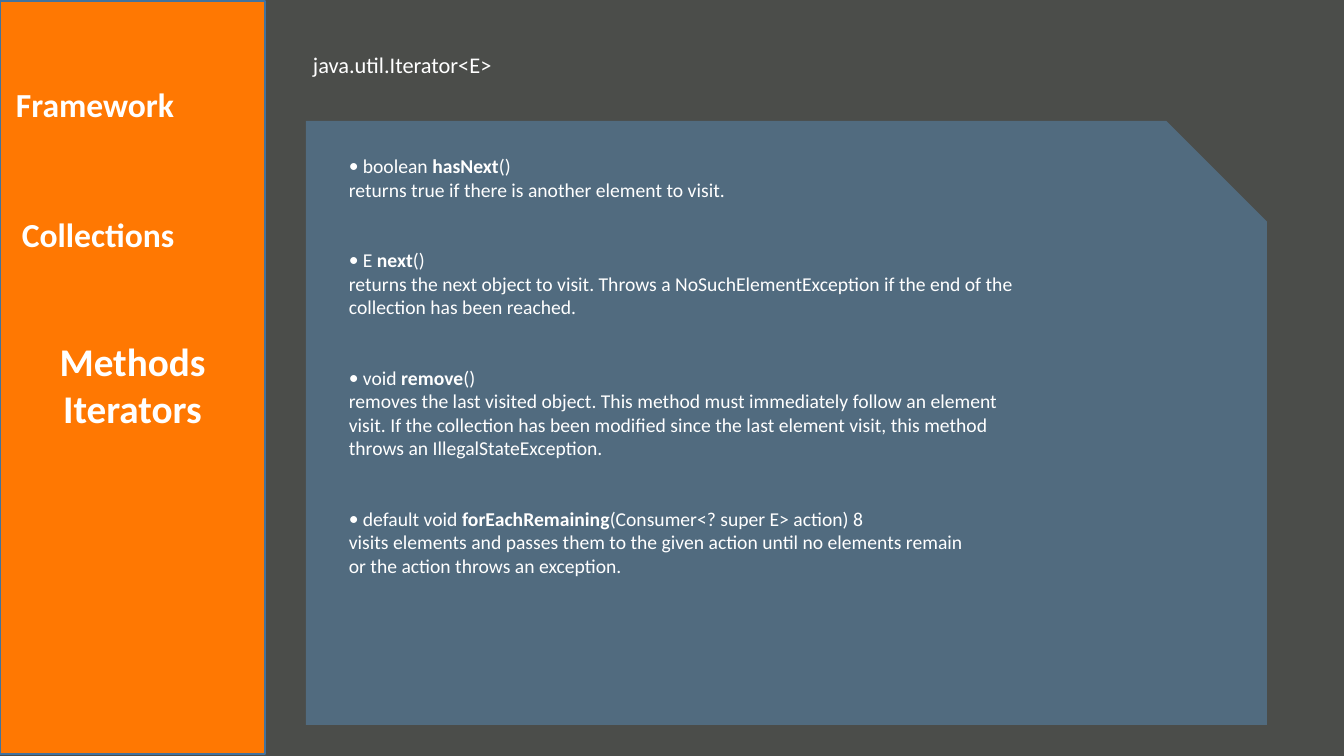
"""Build a slide on the methods of the Java iterator interface."""
from lxml import etree
from pptx import Presentation, util as u
from pptx.dml.color import RGBColor
from pptx.enum import shapes, text
from pptx.oxml.ns import qn

HEADING = "java.util.Iterator<E>"
SIDEBAR = [
    (["Framework"], "topic", (6, 79, 253, 92)),
    (["Collections"], "topic", (12, 209, 253, 92)),
    (["Methods", "Iterators"], "current", (6, 332, 253, 200)),
]
METHODS = [
    ("boolean ", "hasNext", "()",
     ["returns true if there is another element to visit."]),
    ("E ", "next", "()",
     ["returns the next object to visit. Throws a NoSuchElementException if the end of the",
      "collection has been reached."]),
    ("void ", "remove", "()",
     ["removes the last visited object. This method must immediately follow an element",
      "visit. If the collection has been modified since the last element visit, this method",
      "throws an IllegalStateException."]),
    ("default void ", "forEachRemaining", "(Consumer<? super E> action) 8",
     ["visits elements and passes them to the given action until no elements remain",
      "or the action throws an exception."]),
]
AREAS = {
    "sidebar": (0, 1, 265, 753),
    "heading": (313, 55, 523, 23),
    "panel": (306, 121, 961, 604),
    "methods": (339, 149, 858, 437),
}
THEME = {
    "font": "Calibri",
    "colors": {"background": "4B4D4A", "sidebar": "FF7802", "edge": "43739E",
               "panel": "5B9BD5", "text": "FFFFFF"},
    "sizes": {"topic": 24, "current": 28, "heading": 16, "method": 14},
    "panel_alpha": 39,
    "method_gap": 33.6,
}
PX = u.Inches(1) / 100.8
BULLET_INDENT = 14


def px(length):
    return round(length * PX)


def color(name):
    return RGBColor.from_string(THEME["colors"][name])


def apply(target, values):
    for name, value in values.items():
        setattr(target, name, value)


def add_block(slide, kind, area, fill):
    block = slide.shapes.add_shape(kind, *map(px, area))
    block.shadow.inherit = False
    block.fill.solid()
    block.fill.fore_color.rgb = color(fill)
    return block


def add_frame(slide, area, **values):
    frame = slide.shapes.add_textbox(*map(px, area)).text_frame
    apply(frame, {"word_wrap": True,
                  "auto_size": text.MSO_AUTO_SIZE.SHAPE_TO_FIT_TEXT, **values})
    return frame


def add_line(frame, first, parts, size, bullet=False, **values):
    line = frame.paragraphs[0] if first else frame.add_paragraph()
    if bullet:
        props = line._p.get_or_add_pPr()
        apply_indent = {"marL": px(BULLET_INDENT), "indent": -px(BULLET_INDENT)}
        for name, length in apply_indent.items():
            props.set(name, str(length))
        etree.SubElement(props, qn("a:buFont")).set("typeface", THEME["font"])
        etree.SubElement(props, qn("a:buChar")).set("char", "•")
    apply(line, values)
    for words, bold in parts:
        run = line.add_run()
        run.text = words
        apply(run.font, {"name": THEME["font"], "bold": bold,
                         "size": u.Pt(THEME["sizes"][size])})
        run.font.color.rgb = color("text")


def add_sidebar(slide):
    sidebar = add_block(slide, shapes.MSO_SHAPE.RECTANGLE, AREAS["sidebar"], "sidebar")
    sidebar.line.color.rgb = color("edge")
    sidebar.line.width = u.Pt(1)
    for titles, size, area in SIDEBAR:
        frame = add_frame(slide, area)
        align = text.PP_ALIGN.CENTER if size == "current" else text.PP_ALIGN.LEFT
        for index, title in enumerate(titles):
            add_line(frame, index == 0, [(title, True)], size, alignment=align)


def add_methods(slide):
    panel = add_block(slide, shapes.MSO_SHAPE.SNIP_1_RECTANGLE, AREAS["panel"], "panel")
    panel.line.fill.background()
    tint = panel._element.spPr.find(qn("a:solidFill")).find(qn("a:srgbClr"))
    etree.SubElement(tint, qn("a:alpha")).set("val", str(THEME["panel_alpha"] * 1000))
    frame = add_frame(slide, AREAS["methods"])
    for index, (returns, name, arguments, description) in enumerate(METHODS):
        gap = {"space_before": u.Pt(THEME["method_gap"])} if index else {}
        signature = [(returns, False), (name, True), (arguments, False)]
        add_line(frame, index == 0, signature, "method", bullet=True, **gap)
        for sentence in description:
            add_line(frame, False, [(sentence, False)], "method")


def main():
    deck = Presentation()
    apply(deck, {"slide_width": px(1344), "slide_height": px(756)})
    slide = deck.slides.add_slide(deck.slide_layouts[6])
    slide.background.fill.solid()
    slide.background.fill.fore_color.rgb = color("background")
    add_sidebar(slide)
    heading = add_frame(slide, AREAS["heading"], margin_left=0, margin_top=px(1),
                        margin_right=0, margin_bottom=0)
    add_line(heading, True, [(HEADING, False)], "heading", line_spacing=0.8)
    add_methods(slide)
    deck.save("out.pptx")


if __name__ == "__main__":
    main()
